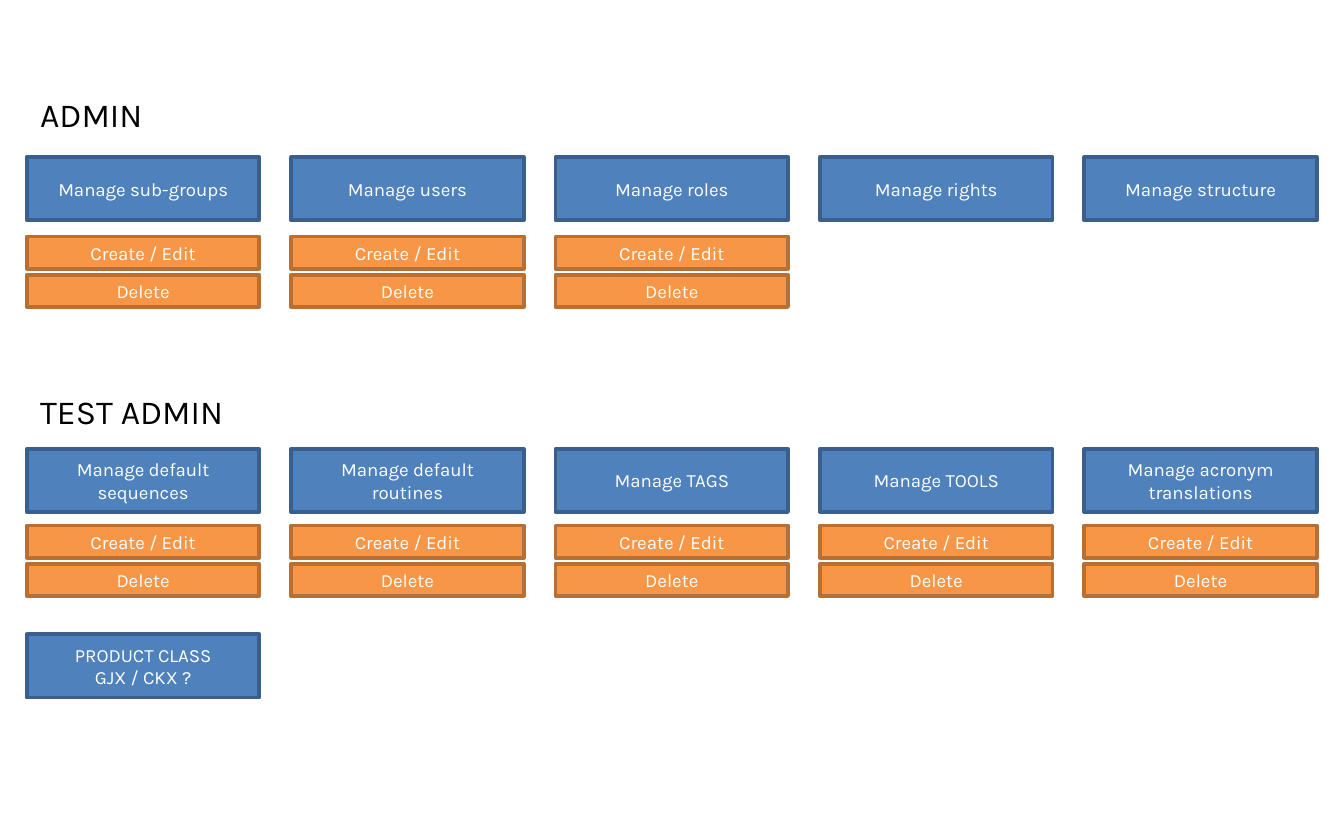
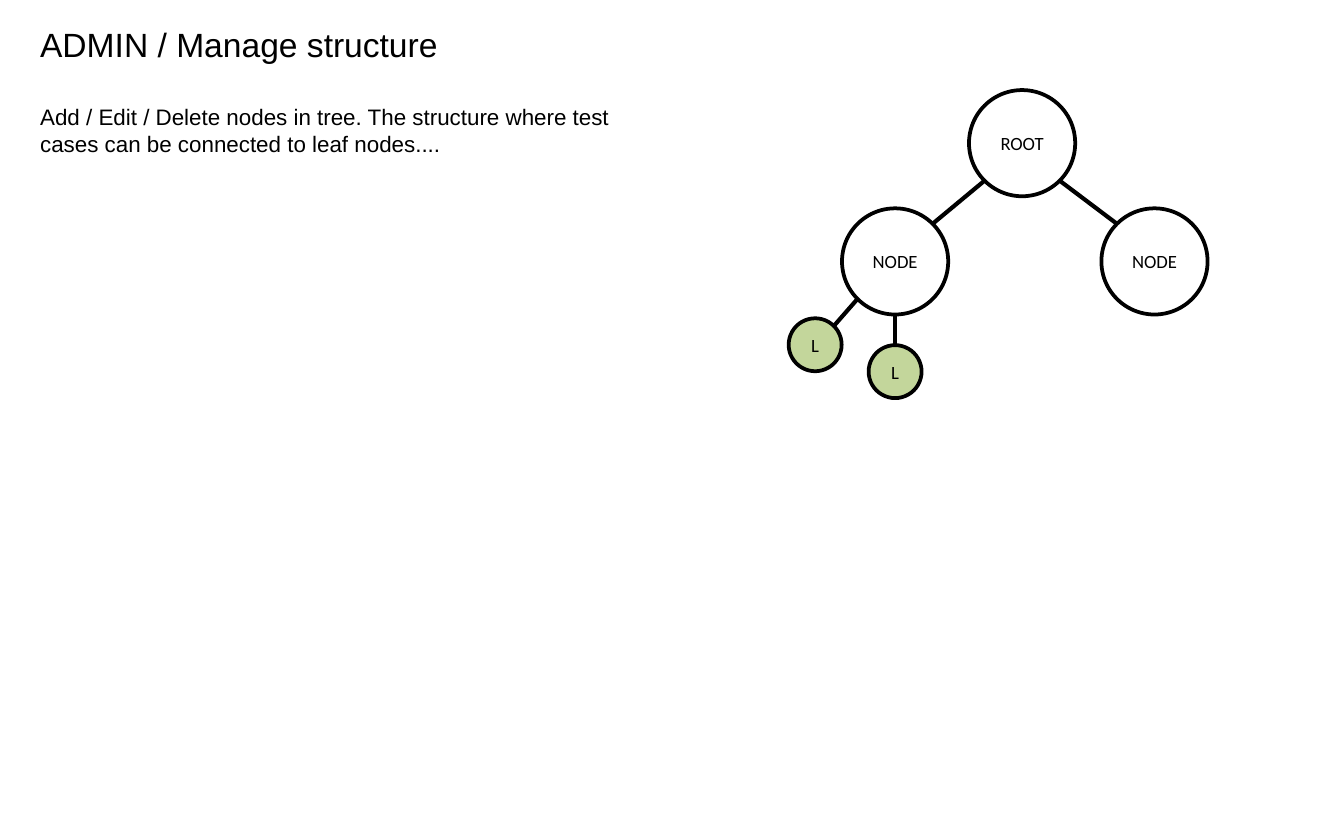
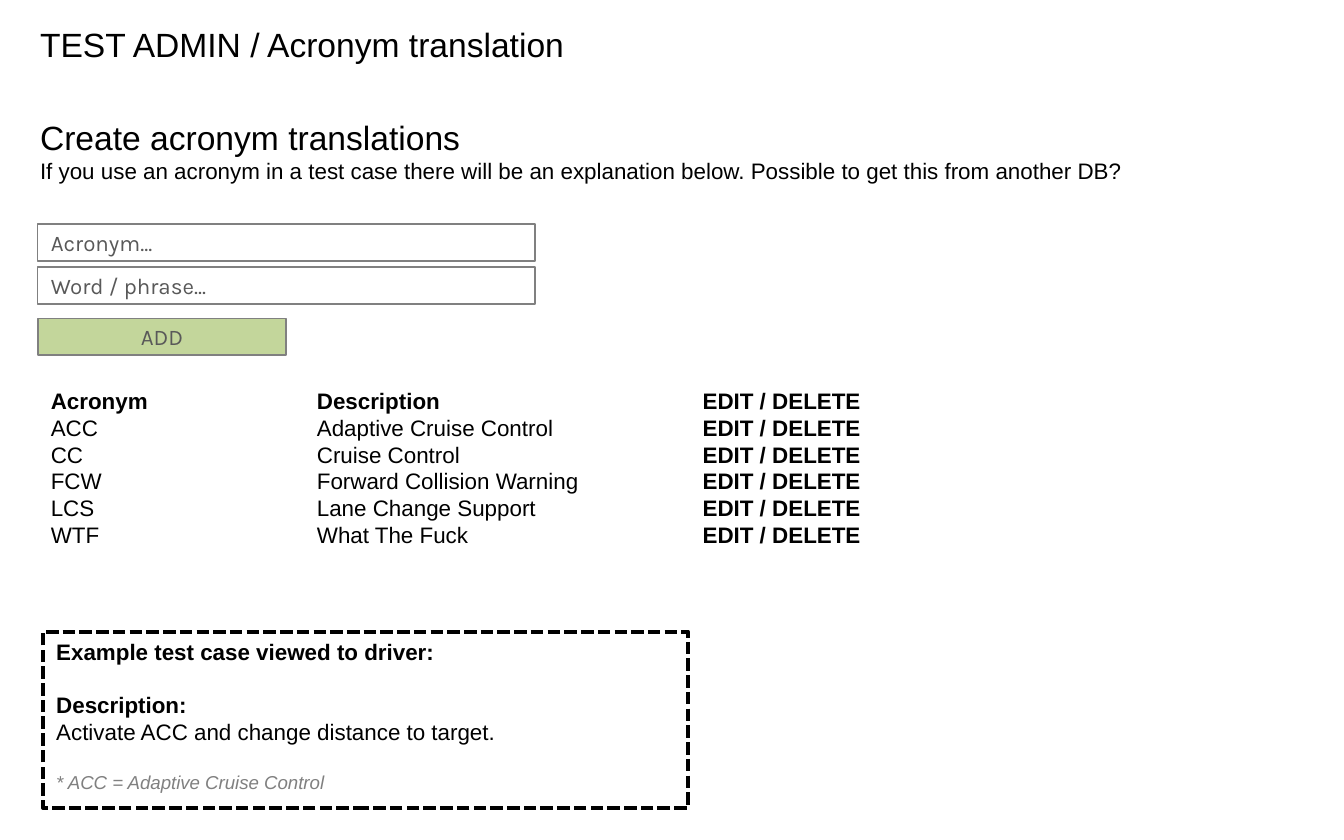
"""Build three slides that sketch the admin pages of a test tool."""
import dataclasses
import math

import lxml.etree
import pptx
import pptx.dml.color
import pptx.enum.dml
import pptx.enum.shapes
import pptx.enum.text
import pptx.oxml.ns
import pptx.util


@dataclasses.dataclass(frozen=True)
class Theme:
    black: str = "000000"
    white: str = "FFFFFF"
    blue: str = "4F81BD"
    blue_edge: str = "3A5F8C"
    orange: str = "F79646"
    orange_edge: str = "B76F34"
    green: str = "C3D69B"
    gray: str = "808080"
    field_text: str = "595959"
    sans: str = "Arial"
    label: str = "Karla"
    node: str = "Calibri"
    title: float = 18
    body: float = 12
    small: float = 10
    line_height: float = 1.15


T = Theme()
RGB = pptx.dml.color.RGBColor.from_string
SHAPE = pptx.enum.shapes.MSO_SHAPE
ALIGN = pptx.enum.text.PP_ALIGN
ANCHOR = pptx.enum.text.MSO_ANCHOR

prs = pptx.Presentation()
prs.slide_width = pptx.util.Inches(10)
prs.slide_height = pptx.util.Inches(6.25)
CELL = prs.slide_width / 100
overview, structure, acronyms = [prs.slides.add_slide(prs.slide_layouts[6]) for _ in range(3)]


def add_text(sp, paras, font, size, color=T.black, align=ALIGN.LEFT, anchor=ANCHOR.TOP):
    """Fill a shape with (text, overrides) paragraphs."""
    tf = sp.text_frame
    tf.word_wrap = True
    tf.vertical_anchor = anchor
    for i, (text, style) in enumerate(paras):
        p = tf.paragraphs[0] if i == 0 else tf.add_paragraph()
        p.alignment = align
        p.space_before = pptx.util.Pt(style.get("before", 0))
        r = p.add_run()
        r.text = text
        r.font.name = font
        r.font.size = pptx.util.Pt(style.get("size", size))
        r.font.bold = style.get("bold", False)
        r.font.italic = style.get("italic", False)
        r.font.color.rgb = RGB(style.get("color", color))
    return tf


def add_box(s, kind, x, y, w, h, fill=None, edge=None, weight=2):
    """Add a text box (kind None) or a preset shape, measured in grid cells."""
    place = [round(v * CELL) for v in (x, y, w, h)]
    if kind is None:
        return s.shapes.add_textbox(*place)
    sp = s.shapes.add_shape(kind, *place)
    sp.shadow.inherit = False
    if fill:
        sp.fill.solid()
        sp.fill.fore_color.rgb = RGB(fill)
    else:
        sp.fill.background()
    sp.line.color.rgb = RGB(edge)
    sp.line.width = pptx.util.Pt(weight)
    return sp


LEFT, TITLE_Y, TITLE_W, TITLE_H = 2, 1.3, 47.2, 4
COL_STEP, BUTTON_W, BUTTON_H, ACTION_H, ACTION_STEP = 19.67, 17.3, 4.7, 2.4, 2.85

sections = [
    ("ADMIN", 6.5, 11.7, 17.6, 3,
     ["Manage sub-groups", "Manage users", "Manage roles", "Manage rights", "Manage structure"]),
    ("TEST ADMIN", 28.6, 33.4, 39.1, 5,
     ["Manage default sequences", "Manage default routines", "Manage TAGS",
      "Manage TOOLS", "Manage acronym translations"]),
]
buttons = [(0, 47.2, BUTTON_H, ["PRODUCT CLASS", "GJX / CKX ?"], T.blue, T.blue_edge)]
for heading, heading_y, button_y, action_y, editable, labels in sections:
    sp = add_box(overview, None, LEFT, heading_y, TITLE_W, TITLE_H)
    add_text(sp, [(heading, {})], T.label, T.title)
    for col, label in enumerate(labels):
        buttons.append((col, button_y, BUTTON_H, [label], T.blue, T.blue_edge))
        if col < editable:
            for row, action in enumerate(["Create / Edit", "Delete"]):
                buttons.append((col, action_y + row * ACTION_STEP, ACTION_H, [action],
                                T.orange, T.orange_edge))
for col, y, h, lines, fill, edge in buttons:
    sp = add_box(overview, SHAPE.RECTANGLE, LEFT + col * COL_STEP, y, BUTTON_W, h, fill, edge)
    add_text(sp, [(line, {}) for line in lines], T.label, T.small, T.white,
             ALIGN.CENTER, ANCHOR.MIDDLE)

sp = add_box(structure, None, LEFT, TITLE_Y, TITLE_W, 11.1)
add_text(sp, [
    ("ADMIN / Manage structure", {}),
    ("Add / Edit / Delete nodes in tree. The structure where test cases can be "
     "connected to leaf nodes....", {"size": T.body, "before": T.title * T.line_height}),
], T.sans, T.title)

NODE_R, LEAF_R = 3.95, 1.97
nodes = {
    "root": ("ROOT", 76.05, 10.65, NODE_R, T.white),
    "left": ("NODE", 66.6, 19.45, NODE_R, T.white),
    "right": ("NODE", 85.9, 19.45, NODE_R, T.white),
    "leaf 1": ("L", 60.65, 25.65, LEAF_R, T.green),
    "leaf 2": ("L", 66.6, 27.65, LEAF_R, T.green),
}
for label, x, y, radius, fill in nodes.values():
    sp = add_box(structure, SHAPE.OVAL, x - radius, y - radius, 2 * radius, 2 * radius,
                 fill, T.black)
    add_text(sp, [(label, {})], T.node, T.small, T.black, ALIGN.CENTER, ANCHOR.MIDDLE)

for parent, child, degrees in [("root", "left", 135), ("root", "right", 45),
                               ("left", "leaf 1", 135), ("left", "leaf 2", 90)]:
    dx, dy = math.cos(math.radians(degrees)), math.sin(math.radians(degrees))
    ends = []
    for name, sign in [(parent, 1), (child, -1)]:
        _, x, y, radius, _ = nodes[name]
        ends += [round((x + sign * radius * dx) * CELL), round((y + sign * radius * dy) * CELL)]
    link = structure.shapes.add_connector(pptx.enum.shapes.MSO_CONNECTOR.STRAIGHT, *ends)
    link.line.color.rgb = RGB(T.black)
    link.line.width = pptx.util.Pt(2.25)
    lxml.etree.SubElement(link._element.spPr, pptx.oxml.ns.qn("a:effectLst"))

sp = add_box(acronyms, None, LEFT, TITLE_Y, TITLE_W, TITLE_H)
add_text(sp, [("TEST ADMIN / Acronym translation", {})], T.sans, T.title)
sp = add_box(acronyms, None, LEFT, 8.2, 95.3, 12.5)
add_text(sp, [
    ("Create acronym translations", {}),
    ("If you use an acronym in a test case there will be an explanation below. "
     "Possible to get this from another DB?", {"size": T.body}),
], T.sans, T.title)

FORM_X, FIELD_W, LIST_Y, LIST_W, LIST_H = 2.8, 37, 28.3, 48, 13.1
for label, y, w, fill, align in [
    ("Acronym...", 16.7, FIELD_W, T.white, ALIGN.LEFT),
    ("Word / phrase...", 19.9, FIELD_W, T.white, ALIGN.LEFT),
    ("ADD", 23.7, FIELD_W / 2, T.green, ALIGN.CENTER),
]:
    sp = add_box(acronyms, SHAPE.RECTANGLE, FORM_X, y, w, 2.7, fill, T.gray, 1)
    add_text(sp, [(label, {})], T.label, T.body, T.field_text, align, ANCHOR.MIDDLE)

entries = [
    ("Acronym", "Description"),
    ("ACC", "Adaptive Cruise Control"),
    ("CC", "Cruise Control"),
    ("FCW", "Forward Collision Warning"),
    ("LCS", "Lane Change Support"),
    ("WTF", "What The Fuck"),
]
sp = add_box(acronyms, None, FORM_X, LIST_Y, LIST_W, LIST_H)
tf = add_text(sp, [("\t".join(entry), {"bold": i == 0}) for i, entry in enumerate(entries)],
              T.sans, T.body)
for p in tf.paragraphs:
    tabs = lxml.etree.SubElement(p._p.get_or_add_pPr(), pptx.oxml.ns.qn("a:tabLst"))
    lxml.etree.SubElement(tabs, pptx.oxml.ns.qn("a:tab"), pos=str(round(19.8 * CELL)), algn="l")

sp = add_box(acronyms, None, 51.3, LIST_Y, LIST_W, LIST_H)
add_text(sp, [("EDIT / DELETE", {"bold": True}) for _ in entries], T.sans, T.body)

sp = add_box(acronyms, SHAPE.RECTANGLE, 3.2, 47, LIST_W, LIST_H, None, T.black, 2.25)
sp.line.dash_style = pptx.enum.dml.MSO_LINE.SQUARE_DOT
gap = T.body * T.line_height
add_text(sp, [
    ("Example test case viewed to driver:", {"bold": True}),
    ("Description:", {"bold": True, "before": gap}),
    ("Activate ACC and change distance to target.", {}),
    ("* ACC = Adaptive Cruise Control",
     {"size": T.small, "italic": True, "color": T.gray, "before": gap}),
], T.sans, T.body)

prs.save("out.pptx")
